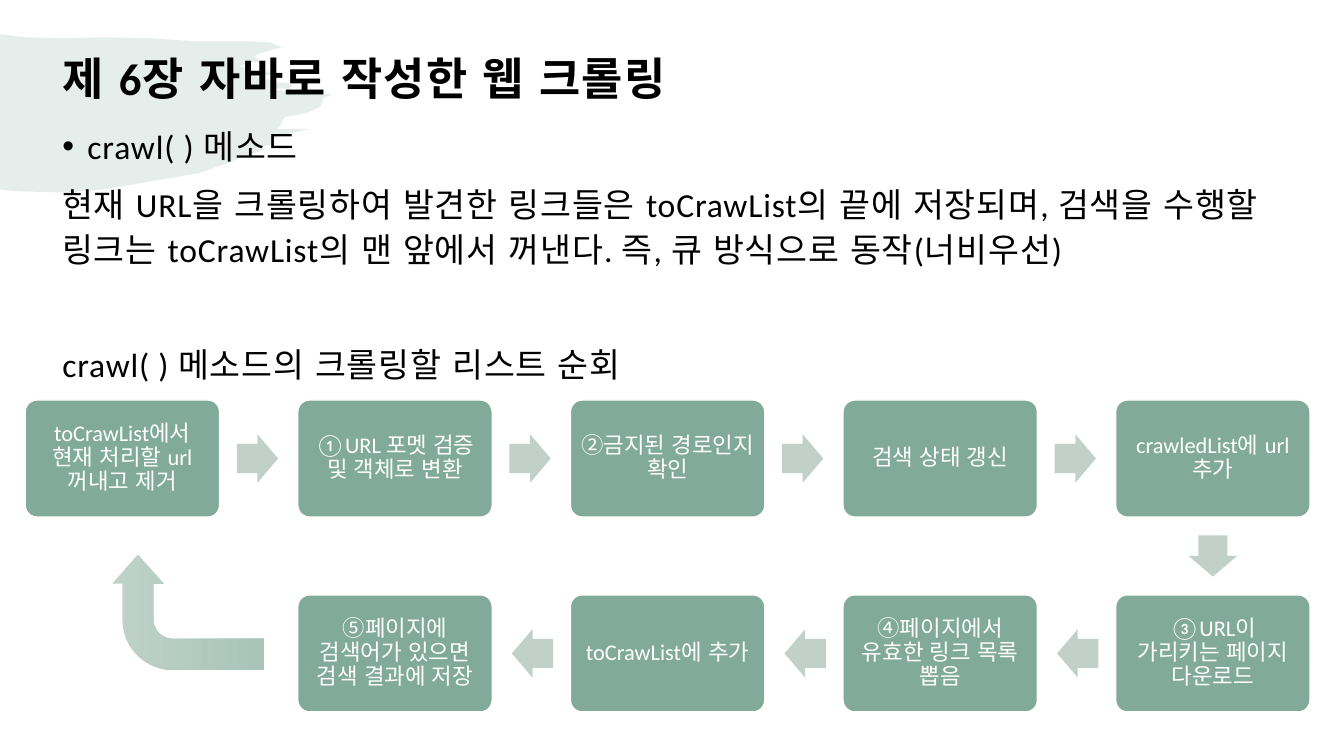
from lxml.etree import SubElement
from pptx import Presentation
from pptx.dml.color import RGBColor
from pptx.enum.lang import MSO_LANGUAGE_ID
from pptx.enum.shapes import MSO_SHAPE
from pptx.enum.text import MSO_ANCHOR, PP_ALIGN
from pptx.oxml.ns import qn
from pptx.util import Cm, Pt

GREEN = RGBColor(0x81, 0xAA, 0x9A)
ARROW_GREEN = RGBColor(0xC1, 0xD1, 0xCA)
RETURN_LIGHT = RGBColor(0xBF, 0xD2, 0xCA)
RETURN_DARK = RGBColor(0xA8, 0xC4, 0xB8)
WHITE = RGBColor(0xFF, 0xFF, 0xFF)
BLACK = RGBColor(0, 0, 0)


def style_text(paragraph, size, color, bold=False, spacing=0):
    """Format every run; spacing is in hundredths of a point."""
    for run in paragraph.runs:
        font = run.font
        font.name, font.size, font.bold = "Calibri", Pt(size), bold
        font.color.rgb = color
        font.language_id = MSO_LANGUAGE_ID.KOREAN
        run._r.get_or_add_rPr().set("spc", str(spacing))


def add_arrow(center_x, center_y, rotation):
    width, height = Cm(1.04), Cm(1.22)
    arrow = slide.shapes.add_shape(
        MSO_SHAPE.RIGHT_ARROW, int(center_x - width / 2), int(center_y - height / 2), width, height)
    arrow.adjustments[0], arrow.adjustments[1] = 0.6, 0.5
    arrow.rotation = rotation
    arrow.shadow.inherit = False
    arrow.fill.solid()
    arrow.fill.fore_color.rgb = ARROW_GREEN
    arrow.line.fill.background()


prs = Presentation()
prs.slide_width, prs.slide_height = Cm(33.87), Cm(19.05)
slide = prs.slides.add_slide(prs.slide_layouts[6])

# Brush stroke behind the title, in hundredths of an inch
brush_points = [
    (0, 34), (25, 37), (66, 38), (102, 37), (151, 38), (194, 41), (248, 41), (267, 42),
    (280, 47), (271, 49), (255, 54), (253, 57), (256, 59), (262, 62), (248, 62), (238, 66),
    (246, 68), (256, 70), (266, 71), (275, 74), (251, 75), (263, 78), (273, 81), (280, 82),
    (288, 83), (290, 85), (287, 88), (284, 88), (263, 88), (296, 92), (330, 94), (321, 97),
    (318, 106), (307, 111), (300, 113), (283, 116), (280, 120), (278, 125), (274, 128),
    (308, 128), (289, 132), (269, 138), (273, 142), (252, 148), (263, 148), (197, 172),
    (102, 188), (65, 191), (23, 190), (7, 189), (0, 188),
]
outline = slide.shapes.build_freeform(*brush_points[0], scale=Cm(2.54) / 100)
outline.add_line_segments(brush_points[1:], close=True)
brush = outline.convert_to_shape()
brush.shadow.inherit = False
brush.fill.solid()
brush.fill.fore_color.rgb = GREEN
brush_color = brush._element.spPr.find(qn("a:solidFill")).find(qn("a:srgbClr"))
SubElement(brush_color, qn("a:alpha"), val="20000")
brush.line.fill.background()

# Title and explanation
title = slide.shapes.add_textbox(Cm(1.27), Cm(1), Cm(29.21), Cm(1.78)).text_frame
body = slide.shapes.add_textbox(Cm(1.27), Cm(2.77), Cm(31.24), Cm(15.8)).text_frame
for frame in (title, body):
    frame.word_wrap = True
    frame.margin_left = frame.margin_right = frame.margin_top = Cm(0.3)
    frame.margin_bottom = Cm(0.25)

title.vertical_anchor = MSO_ANCHOR.MIDDLE
title.text = "제 6장 자바로 작성한 웹 크롤링"
title.paragraphs[0].line_spacing = 1.05
style_text(title.paragraphs[0], 32, BLACK, bold=True, spacing=100)

explanation = [
    ("crawl( ) 메소드", 0),
    ("현재 URL을 크롤링하여 발견한 링크들은 toCrawList의 끝에 저장되며, 검색을 수행할 링크는 "
     "toCrawList의 맨 앞에서 꺼낸다. 즉, 큐 방식으로 동작(너비우선)", 10),
    ("crawl( ) 메소드의 크롤링할 리스트 순회", 51),
]
for index, (wording, space_before) in enumerate(explanation):
    paragraph = body.paragraphs[0] if index == 0 else body.add_paragraph()
    paragraph.text = wording
    paragraph.line_spacing = 1.1
    paragraph.space_before = Pt(space_before)
    style_text(paragraph, 24, BLACK, spacing=60)
bullet = body.paragraphs[0]._p.get_or_add_pPr()
bullet.set("marL", str(Cm(0.635)))
bullet.set("indent", str(-Cm(0.635)))
SubElement(bullet, qn("a:buFont"), typeface="Arial")
SubElement(bullet, qn("a:buChar"), char="•")

# Crawling loop: five steps to the right, then four back to the left
steps = [
    "toCrawList에서 현재 처리할 url 꺼내고 제거",
    "①URL 포멧 검증 및 객체로 변환",
    "②금지된 경로인지 확인",
    "검색 상태 갱신",
    "crawledList에 url추가",
    "③URL이 가리키는 페이지 다운로드",
    "④페이지에서 유효한 링크 목록 뽑음",
    "toCrawList에 추가",
    "⑤페이지에 검색어가 있으면 검색 결과에 저장",
]
COLUMNS = 5
step_width, step_height = Cm(4.9), Cm(2.95)
first_left, pitch = Cm(0.635), Cm(6.87)
row_tops = [Cm(10.08), Cm(14.99)]

for index, wording in enumerate(steps):
    row, place = divmod(index, COLUMNS)
    column = place if row == 0 else COLUMNS - 1 - place
    left, top = first_left + column * pitch, row_tops[row]
    step = slide.shapes.add_shape(MSO_SHAPE.ROUNDED_RECTANGLE, left, top, step_width, step_height)
    step.adjustments[0] = 0.1
    step.shadow.inherit = False
    step.fill.solid()
    step.fill.fore_color.rgb = GREEN
    step.line.color.rgb = WHITE
    step.line.width = Pt(1)
    frame = step.text_frame
    frame.word_wrap = True
    frame.vertical_anchor = MSO_ANCHOR.MIDDLE
    frame.margin_left = frame.margin_right = frame.margin_top = frame.margin_bottom = Cm(0.18)
    frame.text = wording
    frame.paragraphs[0].alignment = PP_ALIGN.CENTER
    frame.paragraphs[0].line_spacing = 0.9
    style_text(frame.paragraphs[0], 16, WHITE)

    center_x, center_y = left + step_width / 2, top + step_height / 2
    if index == COLUMNS - 1:
        add_arrow(center_x, sum(row_tops) / 2 + step_height / 2, 90)
    elif row == 0:
        add_arrow(center_x + pitch / 2 - Cm(0.03), center_y, 0)
    elif index < len(steps) - 1:
        add_arrow(center_x - pitch / 2 + Cm(0.03), center_y, 180)

# Arrow back to the first step
return_arrow = slide.shapes.add_shape(MSO_SHAPE.BENT_ARROW, Cm(3.3), Cm(13.51), Cm(2.9), Cm(3.84))
for index, adjustment in enumerate((0.269, 0.223, 0.25, 0.438)):
    return_arrow.adjustments[index] = adjustment
return_arrow.rotation = 270
return_arrow.shadow.inherit = False
return_arrow.fill.gradient()
return_arrow.fill.gradient_angle = 270
for stop, color in zip(return_arrow.fill.gradient_stops, (RETURN_LIGHT, RETURN_DARK)):
    stop.color.rgb = color
return_arrow.line.fill.background()

prs.save("out.pptx")
